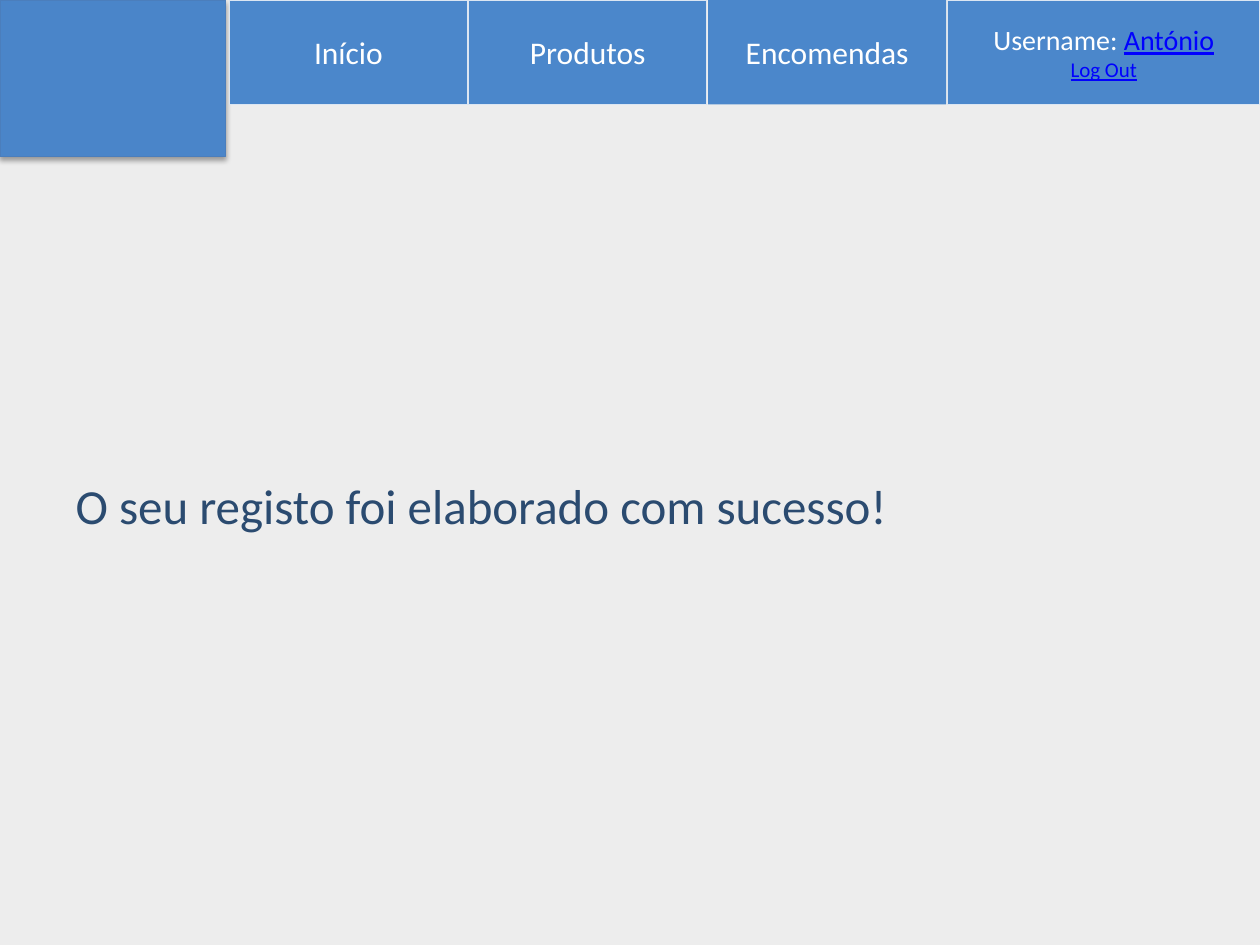
from lxml.etree import SubElement
from pptx import Presentation
from pptx.dml.color import RGBColor
from pptx.enum.shapes import MSO_SHAPE
from pptx.enum.text import MSO_ANCHOR, MSO_AUTO_SIZE, PP_ALIGN
from pptx.oxml.ns import qn
from pptx.util import Inches, Pt

BACKGROUND = RGBColor(0xED, 0xED, 0xED)
LOGO_BLUE = RGBColor(0x4A, 0x85, 0xC9)
LOGO_EDGE = RGBColor(0x4B, 0x7E, 0xBC)
MENU_BLUE = RGBColor(0x4B, 0x87, 0xCB)
MENU_EDGE = RGBColor(0xDC, 0xE6, 0xF2)
WHITE = RGBColor(0xFF, 0xFF, 0xFF)
LINK_BLUE = RGBColor(0x00, 0x00, 0xFF)
MESSAGE_BLUE = RGBColor(0x2B, 0x4B, 0x70)

MENU_LEFT, MENU_STEP, MENU_GAP, MENU_HEIGHT = 1.82, 1.9, 0.01, 0.83


def add_text(paragraph, text, size=18, color=WHITE, underline=None, align=PP_ALIGN.CENTER):
    """Append a formatted run to a paragraph and align the paragraph."""
    paragraph.alignment = align
    run = paragraph.add_run()
    run.text = text
    run.font.name = "Calibri"
    run.font.size = Pt(size)
    run.font.color.rgb = color
    run.font.underline = underline


def add_box(left, width, height, fill, edge):
    """Add a flat rectangle hanging from the top edge of the slide."""
    shape = slide.shapes.add_shape(
        MSO_SHAPE.RECTANGLE, Inches(left), 0, Inches(width), Inches(height))
    shape.shadow.inherit = False
    shape.fill.solid()
    shape.fill.fore_color.rgb = fill
    if edge is None:
        shape.line.fill.background()
    else:
        shape.line.color.rgb = edge
        shape.line.width = Pt(0.75)
    shape.text_frame.vertical_anchor = MSO_ANCHOR.MIDDLE
    return shape


presentation = Presentation()
presentation.slide_width = Inches(10)
presentation.slide_height = Inches(7.5)
slide = presentation.slides.add_slide(presentation.slide_layouts[5])
slide.background.fill.solid()
slide.background.fill.fore_color.rgb = BACKGROUND

# Logo area with a soft shadow below, kept on the layout
logo_area = add_box(0, 1.79, 1.24, LOGO_BLUE, LOGO_EDGE)
effects = logo_area._element.spPr.find(qn("a:effectLst"))
shadow = SubElement(effects, qn("a:outerShdw"), blurRad=str(Pt(3.1)),
                    dist=str(Pt(1.8)), dir="5400000", rotWithShape="0")
shadow_color = SubElement(shadow, qn("a:srgbClr"), val="000000")
SubElement(shadow_color, qn("a:alpha"), val="35000")
logo_area._element.nvSpPr.cNvPr.set("id", "20")
slide.slide_layout.shapes._spTree.append(logo_area._element)

# Confirmation message
message = slide.shapes.title
message.left, message.top = Inches(0.5), Inches(3.54)
message.width, message.height = Inches(7.95), Inches(0.76)
frame = message.text_frame
frame.word_wrap = True
frame.auto_size = MSO_AUTO_SIZE.SHAPE_TO_FIT_TEXT
frame.vertical_anchor = MSO_ANCHOR.TOP
frame.paragraphs[0].line_spacing = 1.4
add_text(frame.paragraphs[0], "O seu registo foi elaborado com sucesso!",
         size=28, color=MESSAGE_BLUE, align=PP_ALIGN.LEFT)

# Menu buttons; the current page has no outline
menu = [("Início", MENU_EDGE), ("Produtos", MENU_EDGE), ("Encomendas", None)]
for column, (label, edge) in enumerate(menu):
    button = add_box(MENU_LEFT + column * MENU_STEP, MENU_STEP - MENU_GAP,
                     MENU_HEIGHT, MENU_BLUE, edge)
    add_text(button.text_frame.paragraphs[0], label)

# User panel fills the rest of the bar
user_left = MENU_LEFT + len(menu) * MENU_STEP
user_panel = add_box(user_left, 10 - user_left, MENU_HEIGHT, MENU_BLUE, MENU_EDGE)
user_line = user_panel.text_frame.paragraphs[0]
add_text(user_line, "Username: ", size=16)
add_text(user_line, "António", size=16, color=LINK_BLUE, underline=True)
add_text(user_panel.text_frame.add_paragraph(), "Log Out", size=12,
         color=LINK_BLUE, underline=True)

presentation.save("out.pptx")
